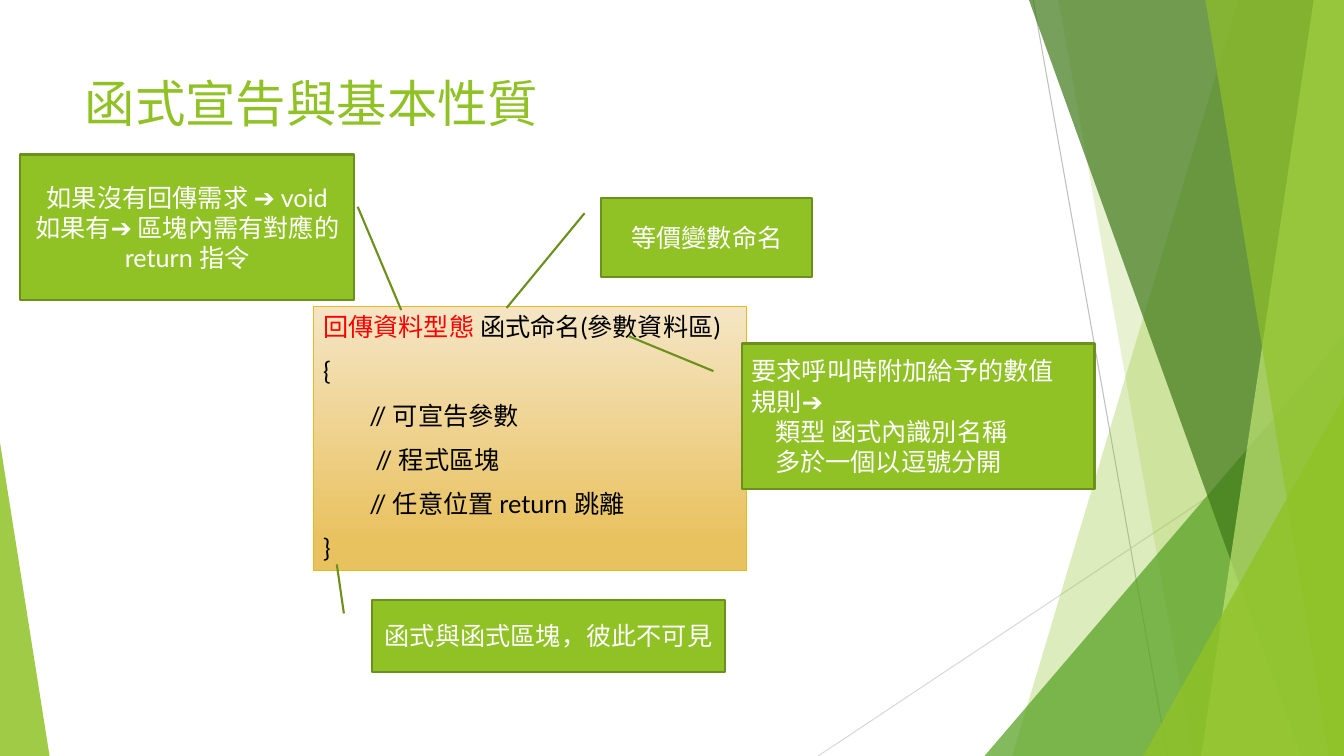
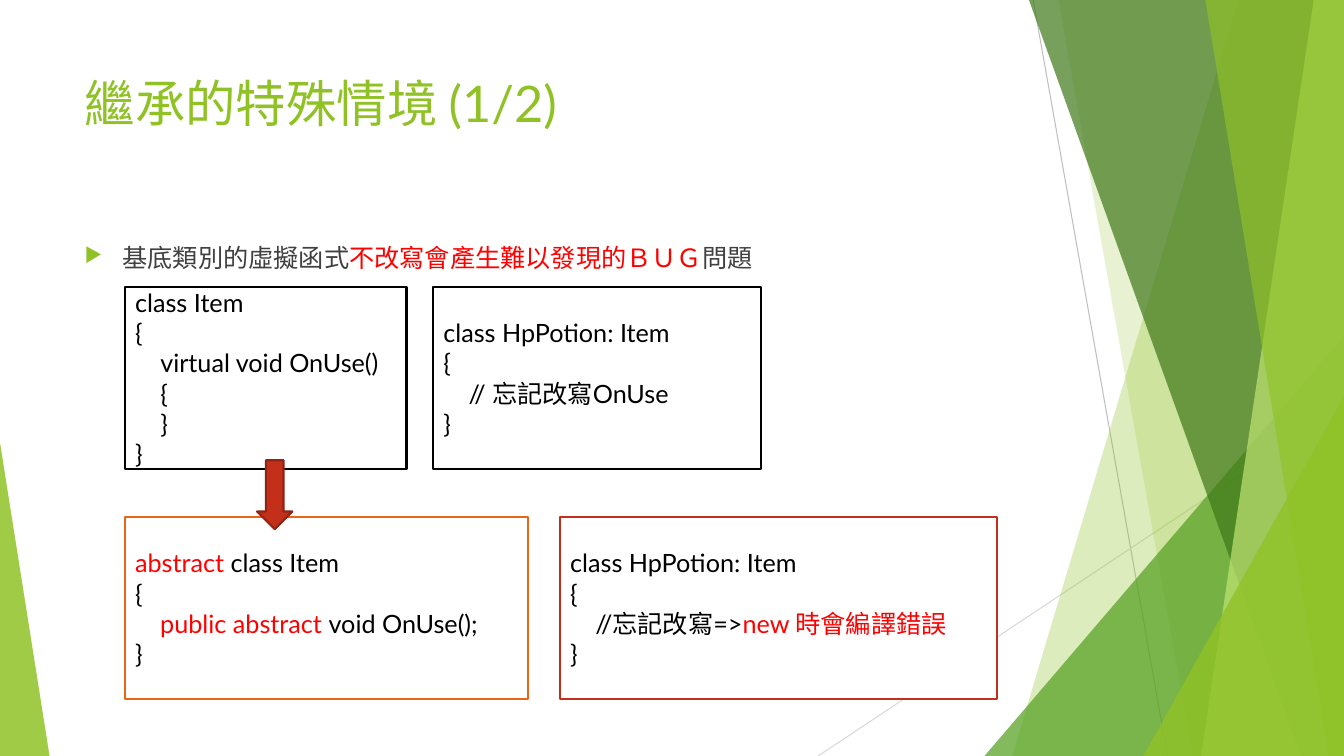
import collections

import lxml.etree
import pptx
import pptx.dml.color
import pptx.enum.dml
import pptx.enum.shapes
import pptx.enum.text
import pptx.oxml.ns
import pptx.util

COLUMNS, ROWS = 160, 90
CELL = pptx.util.Inches(1) // 12
FONT = "Lato"
COLORS = {
    "white": "FFFFFF", "black": "000000", "text": "404040", "red": "FF0000",
    "green": "90C226", "outline": "6B901C", "leaf": "54A021",
    "forest": "3F7819", "lime": "C0E474",
    "gray": "BFBFBF", "silver": "D9D9D9",
    "sand": "F5E5C5", "amber": "E9C260", "gold": "E6B91E",
    "orange": "E76618", "brick": "C42F1A", "maroon": "912313",
}
SHAPES = pptx.enum.shapes.MSO_SHAPE
ALIGN = pptx.enum.text.PP_ALIGN
ANCHOR = pptx.enum.text.MSO_ANCHOR

# A run is a string, or a pair of string and colour name
Line = collections.namedtuple("Line", "runs indent")


def line(*runs, indent=0):
    return Line(runs, indent)


def cells(*counts):
    return [round(count * CELL) for count in counts]


def color(name):
    return pptx.dml.color.RGBColor.from_string(COLORS[name])


def add_element(parent, tag, **attributes):
    return lxml.etree.SubElement(parent, pptx.oxml.ns.qn(tag), attributes)


class Deck:
    """Holds the style and the current slide; lengths are grid cells."""

    def __init__(self):
        self.presentation = pptx.Presentation()
        self.presentation.slide_width = COLUMNS * CELL
        self.presentation.slide_height = ROWS * CELL
        self.slide = None

    def new_slide(self, title):
        layout = self.presentation.slide_layouts[6]
        self.slide = self.presentation.slides.add_slide(layout)
        self.backdrop()
        self.text_box((8.9, 8, 112.8, 17.3), [line(title)], "green", size=36)

    def backdrop(self):
        self.thin_line((123, 0), (139, ROWS), "gray")
        self.thin_line((COLUMNS, 48.4), (97.4, ROWS), "silver")
        self.band(147.4, 120.5, "green", 30)
        self.band(126, 142, "green", 20)
        self.corner(117.2, 40, "leaf", 72)
        self.band(122.5, 154.9, "forest", 70)
        self.band(156.4, 143, "lime", 70)
        self.band(143.5, 158.2, "green", 65)
        self.corner(136.1, 47.2, "green", 80)
        self.corner(0, 52.7, "green", 85, right=5.9, apex=0)

    def thin_line(self, start, end, color_name):
        connector = self.slide.shapes.add_connector(
            pptx.enum.shapes.MSO_CONNECTOR.STRAIGHT, *cells(*start, *end))
        connector.line.color.rgb = color(color_name)
        connector.line.width = pptx.util.Pt(0.75)
        add_element(connector._element.spPr, "a:effectLst")

    def band(self, top_left, bottom_left, color_name, opacity):
        """A strip from a slanted left edge to the slide's right edge."""
        builder = self.slide.shapes.build_freeform(*cells(top_left, 0))
        corners = [(COLUMNS, 0), (COLUMNS, ROWS), (bottom_left, ROWS)]
        builder.add_line_segments([cells(*corner) for corner in corners])
        self.paint(builder.convert_to_shape(), color_name, opacity=opacity)

    def corner(self, left, top, color_name, opacity, right=COLUMNS, apex=1):
        """A right triangle standing on the slide's bottom edge."""
        area = (left, top, right - left, ROWS - top)
        triangle = self.shape(SHAPES.ISOSCELES_TRIANGLE, area, color_name,
                              opacity=opacity)
        triangle.adjustments[0] = apex

    def paint(self, shape, fill, outline=None, weight=1.5, opacity=100):
        shape.shadow.inherit = False
        shape.fill.solid()
        shape.fill.fore_color.rgb = color(fill)
        if opacity < 100:
            tint = shape._element.spPr.find(".//" + pptx.oxml.ns.qn("a:srgbClr"))
            add_element(tint, "a:alpha", val=str(opacity * 1000))
        if outline:
            shape.line.color.rgb = color(outline)
            shape.line.width = pptx.util.Pt(weight)
        else:
            shape.line.fill.background()

    def shape(self, kind, area, fill, outline=None, **style):
        shape = self.slide.shapes.add_shape(kind, *cells(*area))
        self.paint(shape, fill, outline, **style)
        return shape

    def set_text(self, shape, lines, color_name, size=18, align=ALIGN.LEFT,
                 anchor=ANCHOR.MIDDLE, space_before=0, bullet=False):
        frame = shape.text_frame
        frame.word_wrap = True
        frame.vertical_anchor = anchor
        for index, content in enumerate(lines):
            paragraph = frame.add_paragraph() if index else frame.paragraphs[0]
            properties = paragraph._p.get_or_add_pPr()
            if content.indent:
                indent, = cells(content.indent)
                properties.set("marL", str(indent))
                properties.set("indent", str(-indent if bullet else 0))
            if bullet:
                tint = add_element(properties, "a:buClr")
                add_element(tint, "a:srgbClr", val=COLORS["green"])
                add_element(properties, "a:buSzPct", val="80000")
                add_element(properties, "a:buChar", char="▶")
            paragraph.alignment = align
            paragraph.space_before = pptx.util.Pt(space_before)
            paragraph.font.name = FONT
            paragraph.font.size = pptx.util.Pt(size)
            paragraph.font.color.rgb = color(color_name)
            for piece in content.runs:
                run = paragraph.add_run()
                if isinstance(piece, str):
                    run.text = piece
                else:
                    run.text = piece[0]
                    run.font.color.rgb = color(piece[1])

    def text_box(self, area, lines, color_name, **style):
        box = self.slide.shapes.add_textbox(*cells(*area))
        self.set_text(box, lines, color_name, anchor=ANCHOR.TOP, **style)

    def code_box(self, area, outline, lines):
        box = self.shape(SHAPES.RECTANGLE, area, "white", outline)
        self.set_text(box, lines, "black")

    def gradient_box(self, area, lines):
        box = self.shape(SHAPES.RECTANGLE, area, "sand", "gold", weight=1)
        box.fill.gradient()
        box.fill.gradient_angle = 270
        stops = zip(box.fill.gradient_stops, (0, 0.88), ("sand", "amber"))
        for stop, position, color_name in stops:
            stop.position = position
            stop.color.rgb = color(color_name)
        self.set_text(box, lines, "black", anchor=ANCHOR.TOP, space_before=10)

    def callout(self, area, leader, lines, align=ALIGN.CENTER):
        """leader: start y, start x, end y, end x as shares of the box."""
        box = self.shape(SHAPES.LINE_CALLOUT_1, area, "green", "outline")
        for index, share in enumerate(leader):
            box.adjustments[index] = share
        self.set_text(box, lines, "white", align=align)


def function_slide(deck):
    deck.new_slide("函式宣告與基本性質")
    deck.gradient_box((37.3, 36.5, 51.6, 31.4), [
        line(("回傳資料型態", "red"), " 函式命名(參數資料區)"),
        line("{"),
        line("// 可宣告參數", indent=5.5),
        line("// 程式區塊", indent=6.2),
        line("// 任意位置 return 跳離", indent=5.5),
        line("}"),
    ])
    # Notes on each part of the declaration
    deck.callout((71.6, 23.6, 25.1, 9.4), (0.19, -0.08, 1.39, -0.45),
                 [line("等價變數命名")])
    deck.callout((2.4, 18.4, 39.8, 17.3), (1.07, 1.14, 0.36, 1.01), [
        line("如果沒有回傳需求 ➔ void"),
        line("如果有➔ 區塊內需有對應的 return 指令"),
    ])
    deck.callout((88.3, 40.9, 42, 17.3), (0.19, -0.08, -0.05, -0.32), [
        line("要求呼叫時附加給予的數值"),
        line("規則➔"),
        line("類型 函式內識別名稱", indent=2.8),
        line("多於一個以逗號分開", indent=2.8),
    ], align=ALIGN.LEFT)
    deck.callout((44.3, 71.4, 42, 8.6), (0.19, -0.08, -0.49, -0.1),
                 [line("函式與函式區塊，彼此不可見")])


def inheritance_slide(deck):
    deck.new_slide("繼承的特殊情境 (1/2)")
    deck.text_box((8.9, 28.3, 112.8, 50.9), [
        line("基底類別的虛擬函式", ("不改寫會產生難以發現的ＢＵＧ", "red"),
             "問題", indent=4.5),
    ], "text", space_before=10, bullet=True)

    # Virtual method above, abstract method below
    left, upper, lower, height = 14.9, 34.2, 61.6, 21.6
    deck.code_box((left, upper, 33.5, height), "black", [
        line("class Item"),
        line("{"),
        line("virtual void OnUse()", indent=3),
        line("{", indent=3),
        line("}", indent=3),
        line("}"),
    ])
    deck.code_box((51.6, upper, 39, height), "black", [
        line("class HpPotion: Item"),
        line("{"),
        line("// 忘記改寫OnUse", indent=3),
        line("}"),
    ])
    deck.code_box((left, lower, 48, height), "orange", [
        line(("abstract", "red"), " class Item"),
        line("{"),
        line(("public abstract ", "red"), "void OnUse();", indent=3),
        line("}"),
    ])
    deck.shape(SHAPES.DOWN_ARROW, (30.6, 54.8, 4.2, 8.2), "brick", "maroon")
    deck.code_box((66.7, lower, 52, height), "brick", [
        line("class HpPotion: Item"),
        line("{"),
        line("//忘記改寫=>", ("new 時會編譯錯誤", "red"), indent=3),
        line("}"),
    ])


def main():
    deck = Deck()
    function_slide(deck)
    inheritance_slide(deck)
    deck.presentation.save("out.pptx")


if __name__ == "__main__":
    main()
